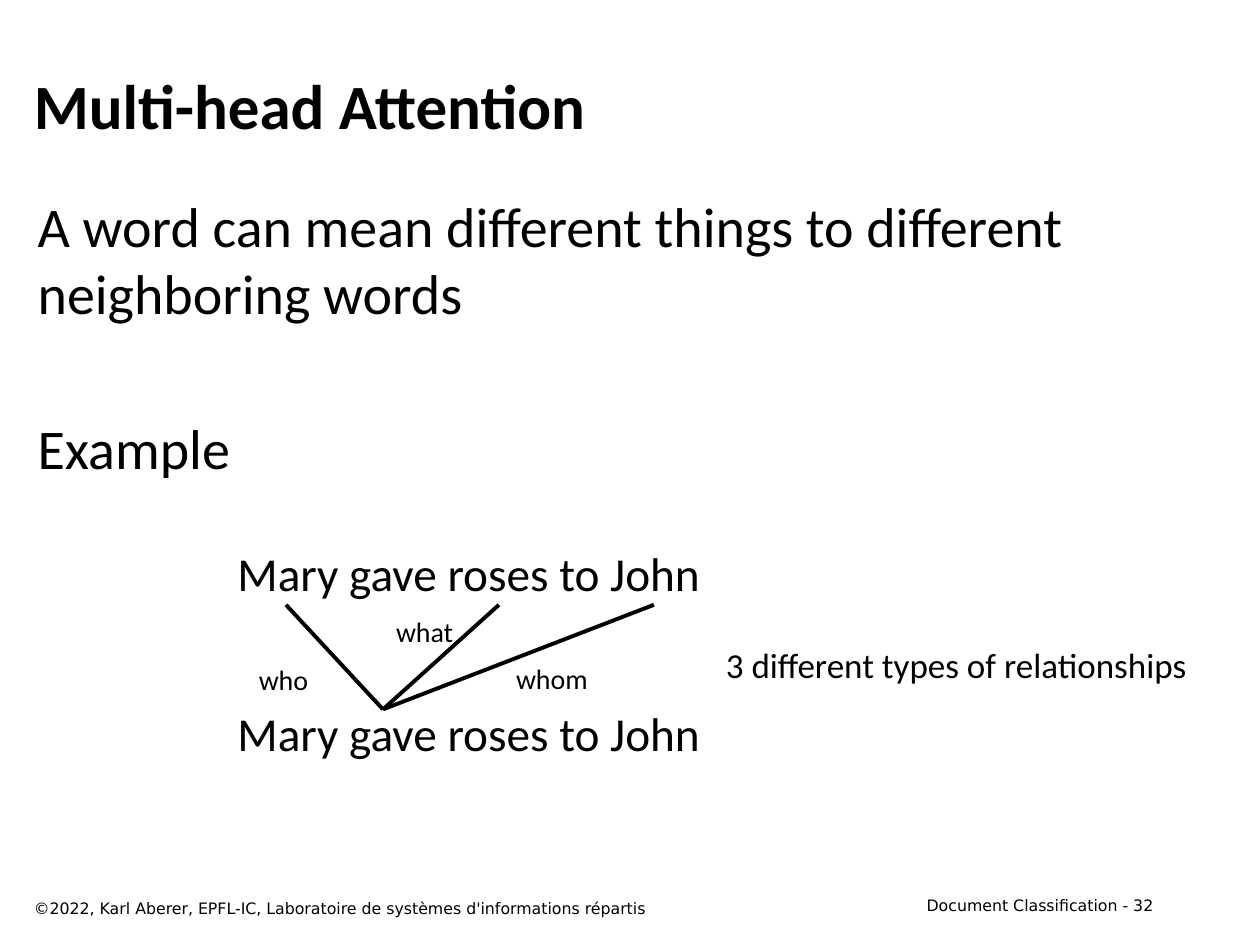
from lxml import etree
from pptx import Presentation
from pptx.dml.color import RGBColor
from pptx.enum import shapes, text
from pptx.oxml.ns import qn
from pptx.util import Inches, Pt

COLORS = {"ink": "000000"}
INK = RGBColor.from_string(COLORS["ink"])
LEFT, CENTER, RIGHT = text.PP_ALIGN.LEFT, text.PP_ALIGN.CENTER, text.PP_ALIGN.RIGHT

deck = Presentation()
deck.slide_width, deck.slide_height = Inches(10), Inches(7.5)
slide = deck.slides.add_slide(deck.slide_layouts[6])


def add_text(box, paragraphs, size, align=LEFT, font="Calibri", bold=False, wrap=True, gap=0):
    frame = slide.shapes.add_textbox(*map(Inches, box)).text_frame
    frame.word_wrap = wrap
    for index, words in enumerate(paragraphs):
        paragraph = frame.add_paragraph() if index else frame.paragraphs[0]
        paragraph.alignment = align
        if index:
            paragraph.space_before = Pt(gap)
        run = paragraph.add_run()
        run.text = words
        run.font.name, run.font.size, run.font.bold = font, Pt(size), bold
        run.font.color.rgb = INK
    return frame


add_text((7.17, 7.06, 2.08, 0.25), ["Document Classification - 32"], 9, RIGHT, "DejaVu Sans")

title = add_text((0.17, 0.33, 9.08, 1), ["Multi-head Attention"], 36, bold=True)
title.vertical_anchor = text.MSO_ANCHOR.MIDDLE

add_text(
    (0.2, 1.47, 9.08, 5.5),
    ["A word can mean different things to different neighboring words", "Example"],
    32,
    gap=50,
)

for sentence_top in (4.27, 5.54):
    add_text((1.77, sentence_top, 3.9, 0.56), ["Mary gave roses to John"], 27, CENTER, wrap=False)

for word_x in (2.27, 3.96, 5.19):
    relation = slide.shapes.add_connector(
        shapes.MSO_CONNECTOR.STRAIGHT, Inches(word_x), Inches(4.8), Inches(3.04), Inches(5.63)
    )
    relation.line.color.rgb = INK
    relation.line.width = Pt(2.25)
    etree.SubElement(relation.line._get_or_add_ln().getparent(), qn("a:effectLst"))

labels = [
    ("who", (1.95, 5.21, 0.6, 0.37), 16),
    ("what", (3.04, 4.83, 0.66, 0.37), 16),
    ("whom", (3.99, 5.2, 0.78, 0.37), 16),
    ("3 different types of relationships", (5.64, 5.06, 3.9, 0.44), 20),
]
for label, box, size in labels:
    add_text(box, [label], size, CENTER, wrap=False)

add_text(
    (0.17, 7.08, 6.42, 0.25),
    ["©2022, Karl Aberer, EPFL-IC, Laboratoire de systèmes d'informations répartis"],
    9,
    font="DejaVu Sans",
)

deck.save("out.pptx")
